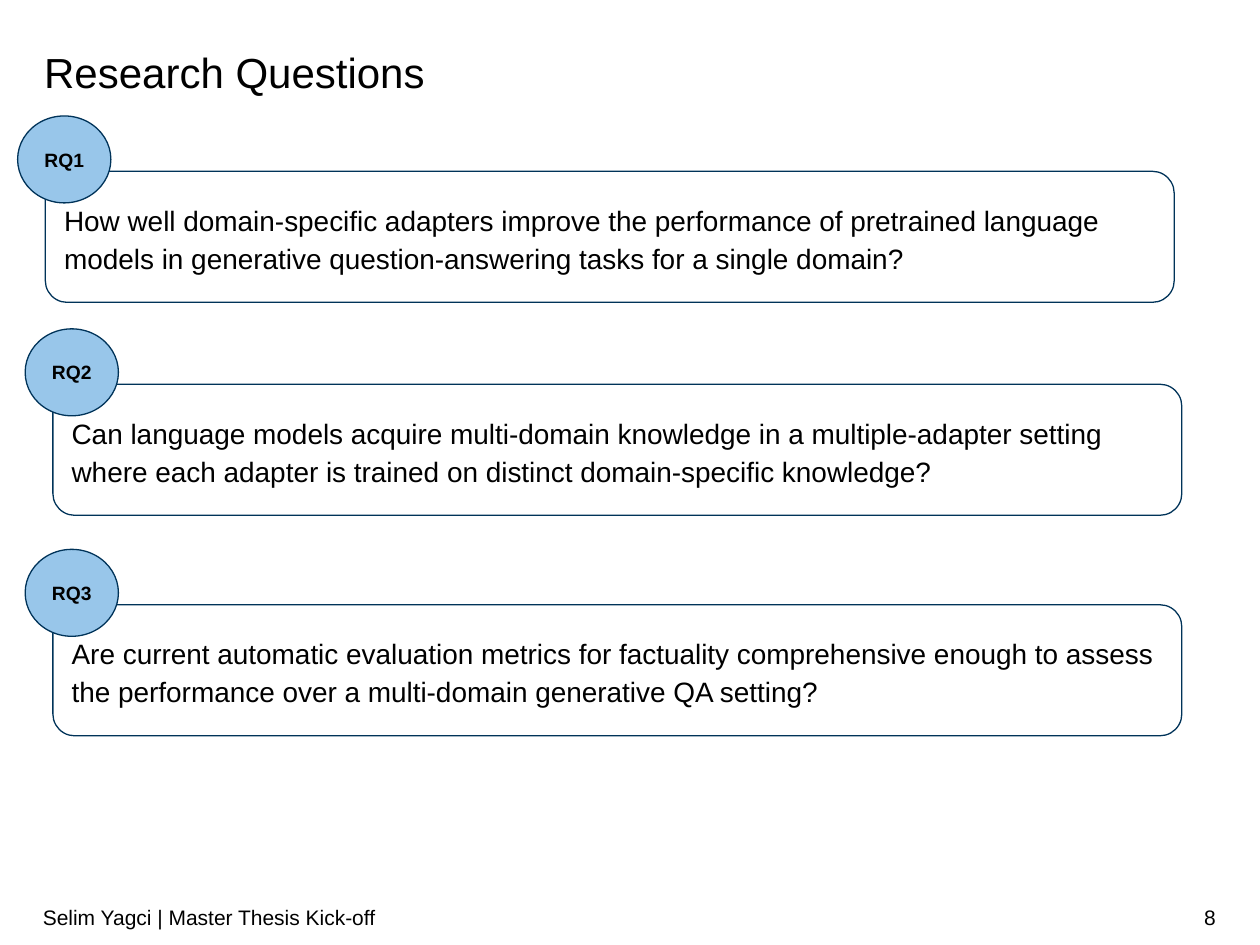
from dataclasses import dataclass

from pptx import Presentation
from pptx.dml.color import RGBColor
from pptx.enum.shapes import MSO_SHAPE as Preset
from pptx.enum.text import MSO_ANCHOR as Anchor, PP_ALIGN as Align
from pptx.shapes.autoshape import Shape
from pptx.slide import Slide
from pptx.util import Inches, Pt


@dataclass(frozen=True)
class Theme:
    font: str = "Arial"
    ink: RGBColor = RGBColor(0x00, 0x00, 0x00)
    paper: RGBColor = RGBColor(0xFF, 0xFF, 0xFF)
    outline: RGBColor = RGBColor(0x00, 0x33, 0x59)
    badge: RGBColor = RGBColor(0x98, 0xC6, 0xEA)
    outline_width: Pt = Pt(0.75)
    title_size: Pt = Pt(24)
    question_size: Pt = Pt(16)
    footer_size: Pt = Pt(12)
    badge_size: Pt = Pt(11)


THEME = Theme()


@dataclass(frozen=True)
class Box:
    left: float
    top: float
    width: float
    height: float

    def lengths(self) -> tuple[Inches, ...]:
        return tuple(map(Inches, (self.left, self.top, self.width, self.height)))


@dataclass(frozen=True)
class Question:
    label: str
    wording: str
    left: float
    top: float


QUESTIONS = (
    Question("RQ1", "How well domain-specific adapters improve the performance of pretrained "
             "language models in generative question-answering tasks for a single domain?",
             0.14, 0.92),
    Question("RQ2", "Can language models acquire multi-domain knowledge in a multiple-adapter "
             "setting where each adapter is trained on distinct domain-specific knowledge?",
             0.2, 2.61),
    Question("RQ3", "Are current automatic evaluation metrics for factuality comprehensive "
             "enough to assess the performance over a multi-domain generative QA setting?",
             0.2, 4.36),
)


def write(shape: Shape, text: str, size: Pt, inset: tuple[float, float],
          anchor: Anchor = Anchor.MIDDLE, align: Align = Align.LEFT,
          spacing: float = 1.0, bold: bool = False, wrap: bool = True) -> None:
    """Put one formatted paragraph in a shape; inset is (sides, top and bottom)."""
    side, end = map(Inches, inset)
    frame = shape.text_frame
    frame.text = text
    paragraph = frame.paragraphs[0]
    formats = {
        frame: {"word_wrap": wrap, "vertical_anchor": anchor,
                "margin_left": side, "margin_right": side,
                "margin_top": end, "margin_bottom": end},
        paragraph: {"alignment": align, "line_spacing": spacing},
    }
    for target, values in formats.items():
        for name, value in values.items():
            setattr(target, name, value)
    font = paragraph.runs[0].font
    for name, value in {"name": THEME.font, "size": size, "bold": bold}.items():
        setattr(font, name, value)
    font.color.rgb = THEME.ink


def add_outlined(shapes, preset: Preset, box: Box, fill: RGBColor) -> Shape:
    shape = shapes.add_shape(preset, *box.lengths())
    shape.shadow.inherit = False
    shape.fill.solid()
    shape.fill.fore_color.rgb = fill
    shape.line.color.rgb = THEME.outline
    shape.line.width = THEME.outline_width
    return shape


def add_question(slide: Slide, question: Question) -> None:
    """Group a question panel with the round badge over its top left corner."""
    shapes = slide.shapes.add_group_shape().shapes
    panel = add_outlined(shapes, Preset.FLOWCHART_ALTERNATE_PROCESS,
                         Box(question.left + 0.22, question.top + 0.44, 8.96, 1.04),
                         THEME.paper)
    write(panel, question.wording, THEME.question_size, (0.1, 0.1), spacing=1.14)
    badge = add_outlined(shapes, Preset.OVAL,
                         Box(question.left, question.top, 0.74, 0.69), THEME.badge)
    write(badge, question.label, THEME.badge_size, (0.1, 0.1),
          align=Align.CENTER, bold=True, wrap=False)


def add_text(slide: Slide, box: Box, text: str, size: Pt,
             inset: tuple[float, float], **layout) -> None:
    write(slide.shapes.add_textbox(*box.lengths()), text, size, inset, **layout)


def main() -> None:
    deck = Presentation()
    deck.slide_width, deck.slide_height = Inches(10), Inches(7.5)
    slide = deck.slides.add_slide(deck.slide_layouts[6])

    add_text(slide, Box(0.35, 0.34, 9.31, 0.4), "Research Questions",
             THEME.title_size, (0, 0), anchor=Anchor.TOP, spacing=1.07)
    for question in QUESTIONS:
        add_question(slide, question)
    add_text(slide, Box(0.34, 7.08, 7.07, 0.4), "Selim Yagci | Master Thesis Kick-off",
             THEME.footer_size, (0, 0.05))
    add_text(slide, Box(7.41, 7.08, 2.24, 0.4), "8",
             THEME.footer_size, (0, 0.05), align=Align.RIGHT)

    deck.save("out.pptx")


if __name__ == "__main__":
    main()
